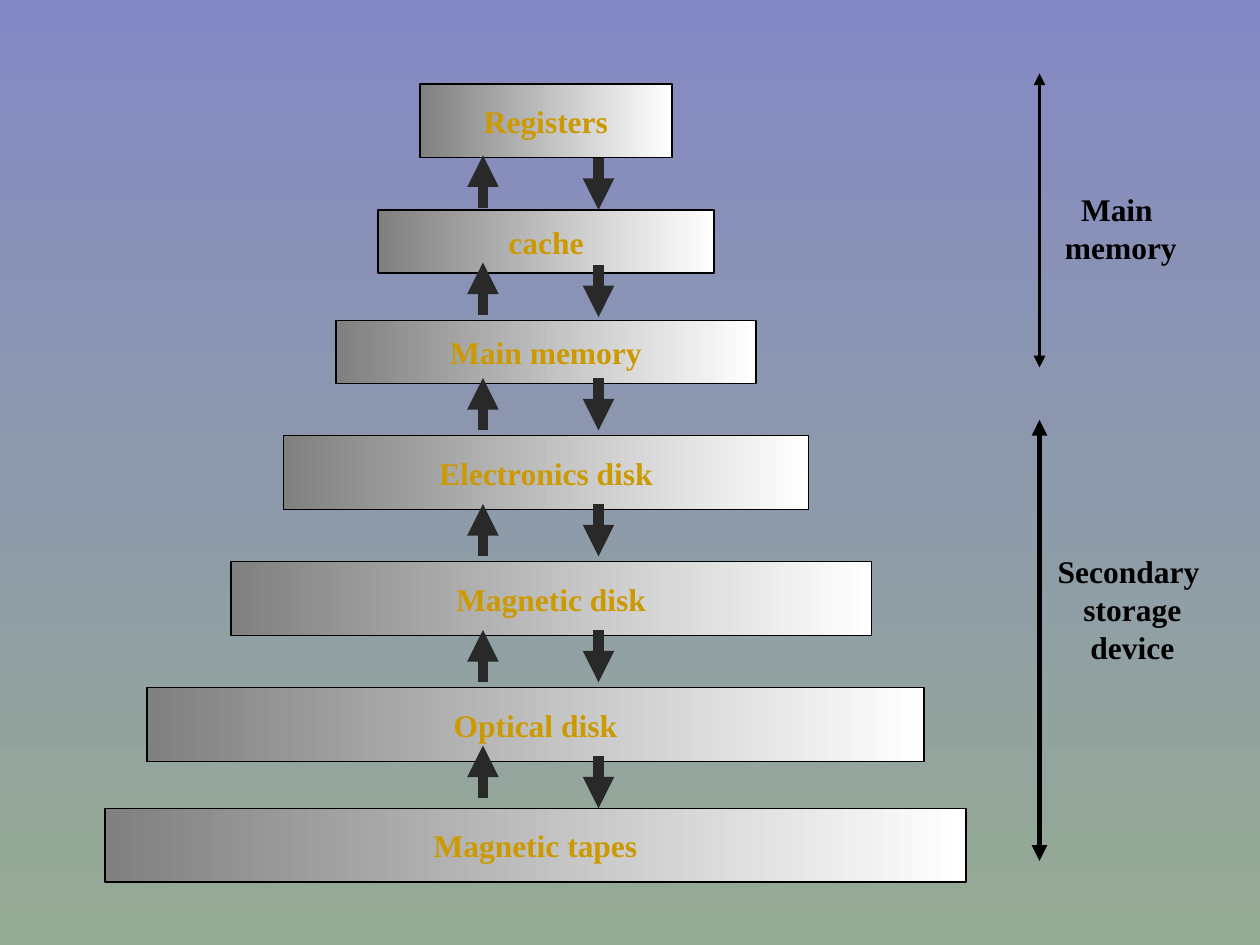
from typing import NamedTuple

from lxml.etree import SubElement
from pptx import Presentation
from pptx.dml.color import RGBColor
from pptx.dml.fill import FillFormat
from pptx.enum.shapes import MSO_CONNECTOR, MSO_SHAPE
from pptx.enum.text import MSO_ANCHOR, MSO_AUTO_SIZE, PP_ALIGN
from pptx.oxml.ns import qn
from pptx.slide import Slide
from pptx.text.text import TextFrame
from pptx.util import Pt

PX = 7620
FONT = "Times New Roman"
BLACK = RGBColor(0x00, 0x00, 0x00)
WHITE = RGBColor(0xFF, 0xFF, 0xFF)
GRAY = RGBColor(0x80, 0x80, 0x80)
GOLD = RGBColor(0xCC, 0x99, 0x00)
CHARCOAL = RGBColor(0x29, 0x29, 0x29)
SKY = RGBColor(0x84, 0x88, 0xC4)
SAGE = RGBColor(0x96, 0xAB, 0x94)

UP_X, DOWN_X, RANGE_X = 460, 570, 990
ARROW_LENGTH = 50


class Box(NamedTuple):
    text: str
    x: int
    y: int
    w: int
    h: int


class Arrow(NamedTuple):
    x: int
    start: int
    end: int
    color: RGBColor
    weight: float
    ends: tuple[str, ...]


LEVELS = [
    Box("Registers", 400, 80, 240, 70),
    Box("cache", 360, 200, 320, 60),
    Box("Main memory", 320, 305, 400, 60),
    Box("Electronics disk", 270, 415, 500, 70),
    Box("Magnetic disk", 220, 535, 610, 70),
    Box("Optical disk", 140, 655, 740, 70),
    Box("Magnetic tapes", 100, 770, 820, 70),
]
LABELS = [
    Box("Secondary \nstorage\ndevice", 995, 520, 167, 120),
    Box("Main \nmemory", 1002, 175, 131, 84),
]
UP_TOPS = [148, 250, 360, 480, 600, 710]
DOWN_TOPS = [150, 252, 360, 480, 600, 720]
ARROWS = [
    *(Arrow(UP_X, y + ARROW_LENGTH, y, CHARCOAL, 6, ("tailEnd",)) for y in UP_TOPS),
    *(Arrow(DOWN_X, y, y + ARROW_LENGTH, CHARCOAL, 6, ("tailEnd",)) for y in DOWN_TOPS),
    Arrow(RANGE_X, 70, 350, BLACK, 2.25, ("headEnd", "tailEnd")),
    Arrow(RANGE_X, 400, 820, BLACK, 3, ("headEnd", "tailEnd")),
]


def set_gradient(fill: FillFormat, first: RGBColor, last: RGBColor, angle: int) -> None:
    fill.gradient()
    fill.gradient_angle = angle
    for stop, color in zip(fill.gradient_stops, (first, last)):
        stop.color.rgb = color


def set_text(tf: TextFrame, text: str, color: RGBColor) -> None:
    tf.text = text
    tf.word_wrap = False
    for p in tf.paragraphs:
        p.alignment = PP_ALIGN.CENTER
        for r in p.runs:
            r.font.name = FONT
            r.font.size = Pt(18)
            r.font.bold = True
            r.font.color.rgb = color


def add_level(s: Slide, box: Box) -> None:
    sp = s.shapes.add_shape(MSO_SHAPE.RECTANGLE, *(v * PX for v in box[1:]))
    sp.shadow.inherit = False
    set_gradient(sp.fill, GRAY, WHITE, 0)
    sp.line.color.rgb = BLACK
    sp.line.width = Pt(0.75)
    sp.text_frame.vertical_anchor = MSO_ANCHOR.MIDDLE
    set_text(sp.text_frame, box.text, GOLD)


def add_label(s: Slide, box: Box) -> None:
    sp = s.shapes.add_textbox(*(v * PX for v in box[1:]))
    set_text(sp.text_frame, box.text, BLACK)
    sp.text_frame.auto_size = MSO_AUTO_SIZE.SHAPE_TO_FIT_TEXT


def add_arrow(s: Slide, arrow: Arrow) -> None:
    x = arrow.x * PX
    cxn = s.shapes.add_connector(
        MSO_CONNECTOR.STRAIGHT, x, arrow.start * PX, x, arrow.end * PX
    )
    cxn.line.color.rgb = arrow.color
    cxn.line.width = Pt(arrow.weight)
    ln = cxn.line._get_or_add_ln()
    for end in arrow.ends:
        SubElement(ln, qn(f"a:{end}"), type="triangle")
    SubElement(cxn._element.spPr, qn("a:effectLst"))


def main() -> None:
    prs = Presentation()
    prs.slide_width = 1200 * PX
    prs.slide_height = 900 * PX
    s = prs.slides.add_slide(prs.slide_layouts[6])
    set_gradient(s.background.fill, SKY, SAGE, 270)
    for level in LEVELS:
        add_level(s, level)
    for arrow in ARROWS:
        add_arrow(s, arrow)
    for label in LABELS:
        add_label(s, label)
    prs.save("out.pptx")


if __name__ == "__main__":
    main()
